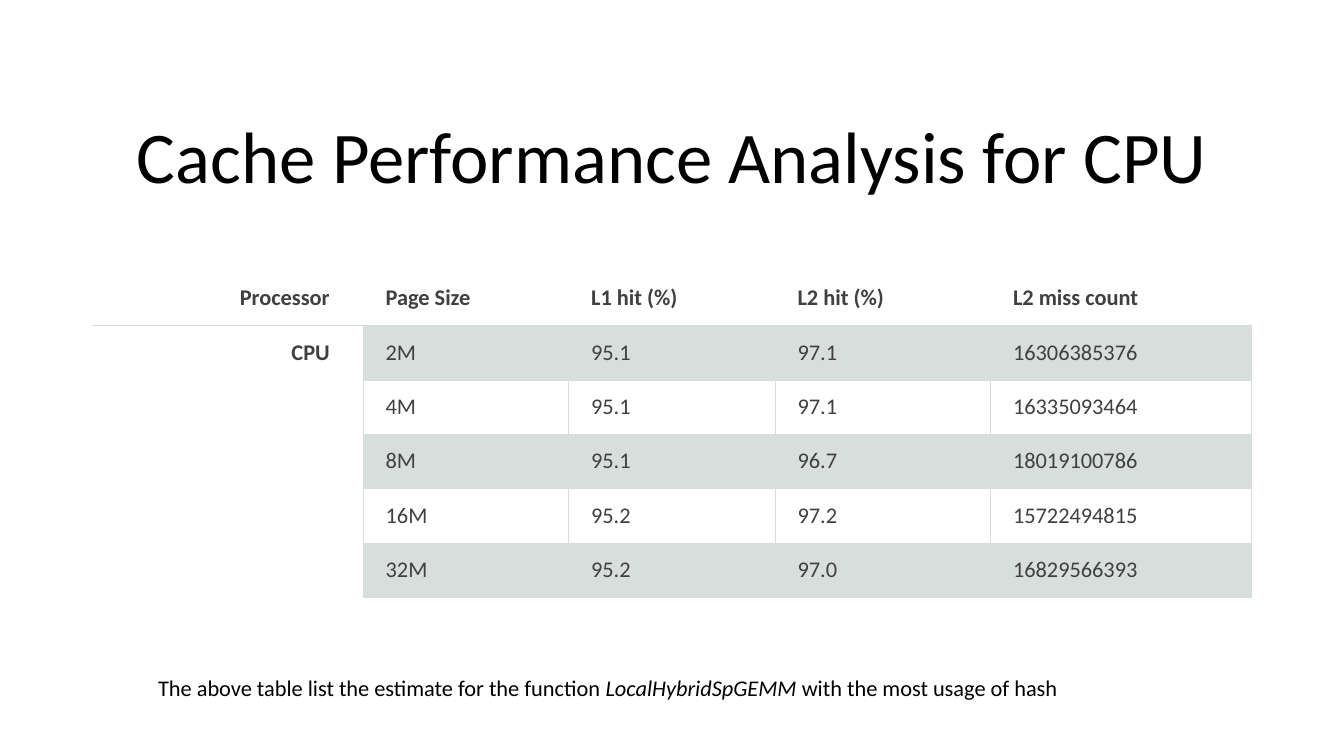
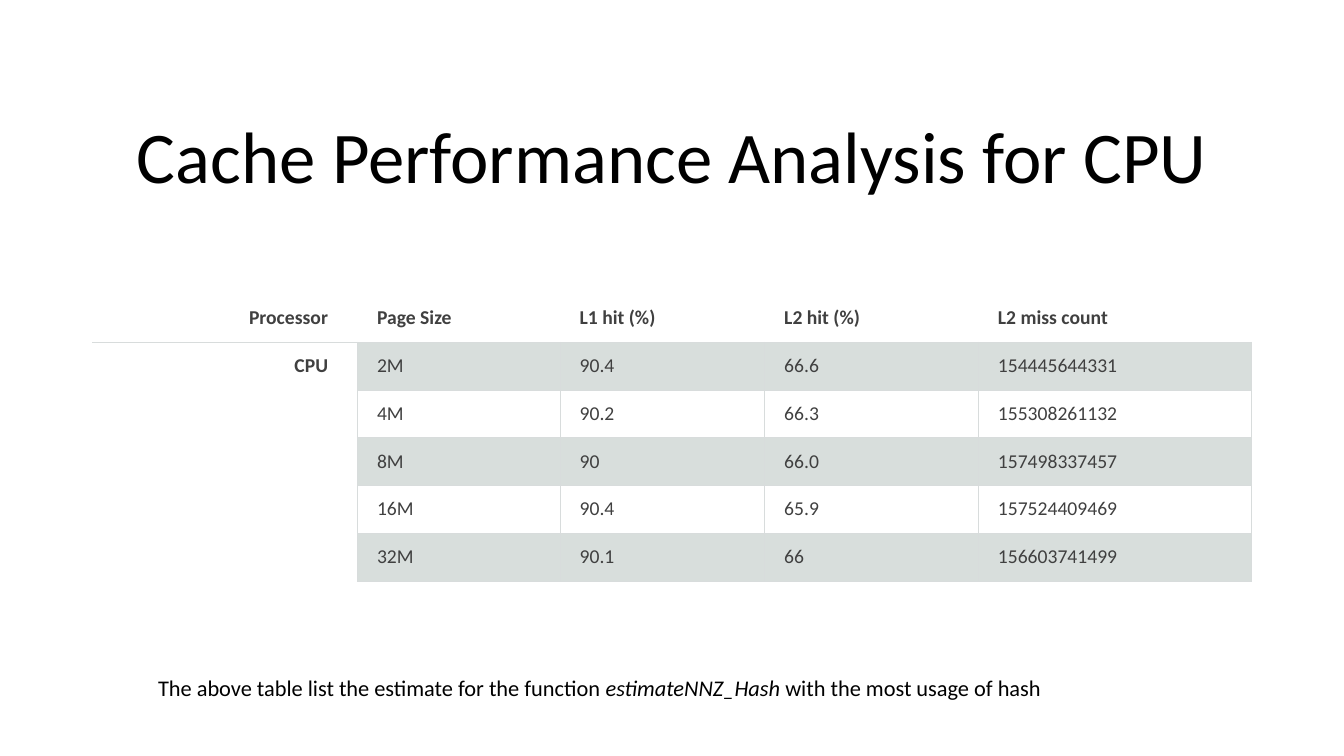
import dataclasses
import pptx
import pptx.util
import pptx.dml.color
import pptx.enum.text
import pptx.oxml
import pptx.oxml.ns

Pt = pptx.util.Pt
Align = pptx.enum.text.PP_ALIGN
Anchor = pptx.enum.text.MSO_ANCHOR


@dataclasses.dataclass(frozen=True)
class Theme:
    """Colours, type sizes and the slide grid."""
    font: str = "Calibri"
    black: str = "000000"
    ink: str = "404040"
    rule: str = "D8DCDC"
    band: str = "D8DEDC"
    tint: int = 20
    line: float = 0.75
    title: int = 52
    note: int = 16
    wide: int = 160
    high: int = 90
    unit: int = pptx.util.Inches(7.5) // 90


LOOK = Theme()
HEAD = "Cache Performance Analysis for CPU"
TITLE = (11, 7.32, 138, 17.04)
NOTE = (17.64, 79.68, 122.64, 4.44)
COLS = ["Processor", "Page Size", "L1 hit (%)", "L2 hit (%)", "L2 miss count"]
PAGES = ["2M", "4M", "8M", "16M", "32M"]
SLIDES = [
    {
        "box": (11, 32.28, 138, 38.88), "size": 16,
        "parts": (2.69, 2.04, 2.05, 2.14, 2.59),
        "data": [
            ("95.1", "97.1", "16306385376"),
            ("95.1", "97.1", "16335093464"),
            ("95.1", "96.7", "18019100786"),
            ("95.2", "97.2", "15722494815"),
            ("95.2", "97.0", "16829566393"),
        ],
        "func": "LocalHybridSpGEMM",
    },
    {
        "box": (11, 35.04, 138, 34.2), "size": 14,
        "parts": (2.63, 2.01, 2.03, 2.12, 2.71),
        "data": [
            ("90.4", "66.6", "154445644331"),
            ("90.2", "66.3", "155308261132"),
            ("90", "66.0", "157498337457"),
            ("90.4", "65.9", "157524409469"),
            ("90.1", "66", "156603741499"),
        ],
        "func": "estimateNNZ_Hash",
    },
]


def apply(item, form):
    """Set each format value on the item."""
    for name, value in form.items():
        setattr(item, name, value)


def place(box):
    """Turn grid units into lengths."""
    return [round(part * LOOK.unit) for part in box]


def write(para, text, size, tone, **form):
    """Add one run of text to a paragraph."""
    run = para.add_run()
    run.text = text
    apply(run.font, {"name": LOOK.font, "size": Pt(size), **form})
    run.font.color.rgb = pptx.dml.color.RGBColor.from_string(tone)


def frame(slide, box, anchor):
    """Add a wrapping text box and return its paragraph."""
    body = slide.shapes.add_textbox(*place(box)).text_frame
    apply(body, {"word_wrap": True, "vertical_anchor": anchor})
    return body.paragraphs[0]


def title(slide, box):
    """Add the shared slide title."""
    para = frame(slide, box, Anchor.BOTTOM)
    apply(para, {"alignment": Align.CENTER, "line_spacing": 0.9})
    write(para, HEAD, LOOK.title, LOOK.black)


def note(slide, box, func):
    """Add the line that names the measured function."""
    para = frame(slide, box, Anchor.TOP)
    for text, slant in (
        ("The above table list the estimate for the function ", False),
        (func, True),
        (" with the most usage of hash", False),
    ):
        write(para, text, LOOK.note, LOOK.black, italic=slant)


def edge(cell, sides):
    """Rule the given sides of a cell and clear the others."""
    props = cell._tc.get_or_add_tcPr()
    space = pptx.oxml.ns.nsdecls("a")
    for side in "LRTB":
        paint = "<a:noFill/>"
        if side in sides:
            paint = f'<a:solidFill><a:srgbClr val="{LOOK.rule}"/></a:solidFill>'
        props.append(pptx.oxml.parse_xml(
            f'<a:ln{side} {space} w="{Pt(LOOK.line)}">{paint}</a:ln{side}>'))


def shade(cell, band):
    """Tint a banded cell and leave the others clear."""
    if not band:
        cell.fill.background()
        return
    cell.fill.solid()
    cell.fill.fore_color.rgb = pptx.dml.color.RGBColor.from_string(LOOK.band)
    tone = cell._tc.tcPr.find(".//" + pptx.oxml.ns.qn("a:srgbClr"))
    tone.append(pptx.oxml.parse_xml(
        f'<a:alpha {pptx.oxml.ns.nsdecls("a")} val="{LOOK.tint * 1000}"/>'))


def sides(row, col):
    """Name the ruled sides of the cell at a row and column."""
    if row == 0:
        return "B"
    if col == 0:
        return "TR" if row == 1 else "R"
    return "LRTB"


def grid(slide, box, size, parts, data):
    """Add the cache table with its merged processor cell."""
    rows = [COLS]
    for step, (page, vals) in enumerate(zip(PAGES, data)):
        rows.append(["" if step else "CPU", page, *vals])
    left, top, width, height = place(box)
    table = slide.shapes.add_table(
        len(rows), len(COLS), left, top, width, height).table
    apply(table, {"first_row": False, "horz_banding": False})
    for col, part in zip(table.columns, parts):
        col.width = round(width * part / sum(parts))
    for row, texts in enumerate(rows):
        table.rows[row].height = height // len(rows)
        for col, text in enumerate(texts):
            cell = table.cell(row, col)
            apply(cell, {
                "margin_left": Pt(size),
                "margin_right": Pt(size * (0.37 if col else 1.5)),
                "margin_top": Pt(size / 2),
                "margin_bottom": Pt(size / 2),
            })
            edge(cell, sides(row, col))
            shade(cell, col > 0 and row % 2 == 1)
            para = cell.text_frame.paragraphs[0]
            apply(para, {
                "alignment": Align.LEFT if col else Align.RIGHT,
                "line_spacing": 1.07,
            })
            if text:
                write(para, text, size, LOOK.ink, bold=row == 0 or col == 0)
    table.cell(1, 0).merge(table.cell(len(rows) - 1, 0))


def build():
    """Build and save both slides."""
    deck = pptx.Presentation()
    apply(deck, {
        "slide_width": LOOK.wide * LOOK.unit,
        "slide_height": LOOK.high * LOOK.unit,
    })
    for page in SLIDES:
        slide = deck.slides.add_slide(deck.slide_layouts[6])
        title(slide, TITLE)
        grid(slide, page["box"], page["size"], page["parts"], page["data"])
        note(slide, NOTE, page["func"])
    deck.save("out.pptx")


build()
